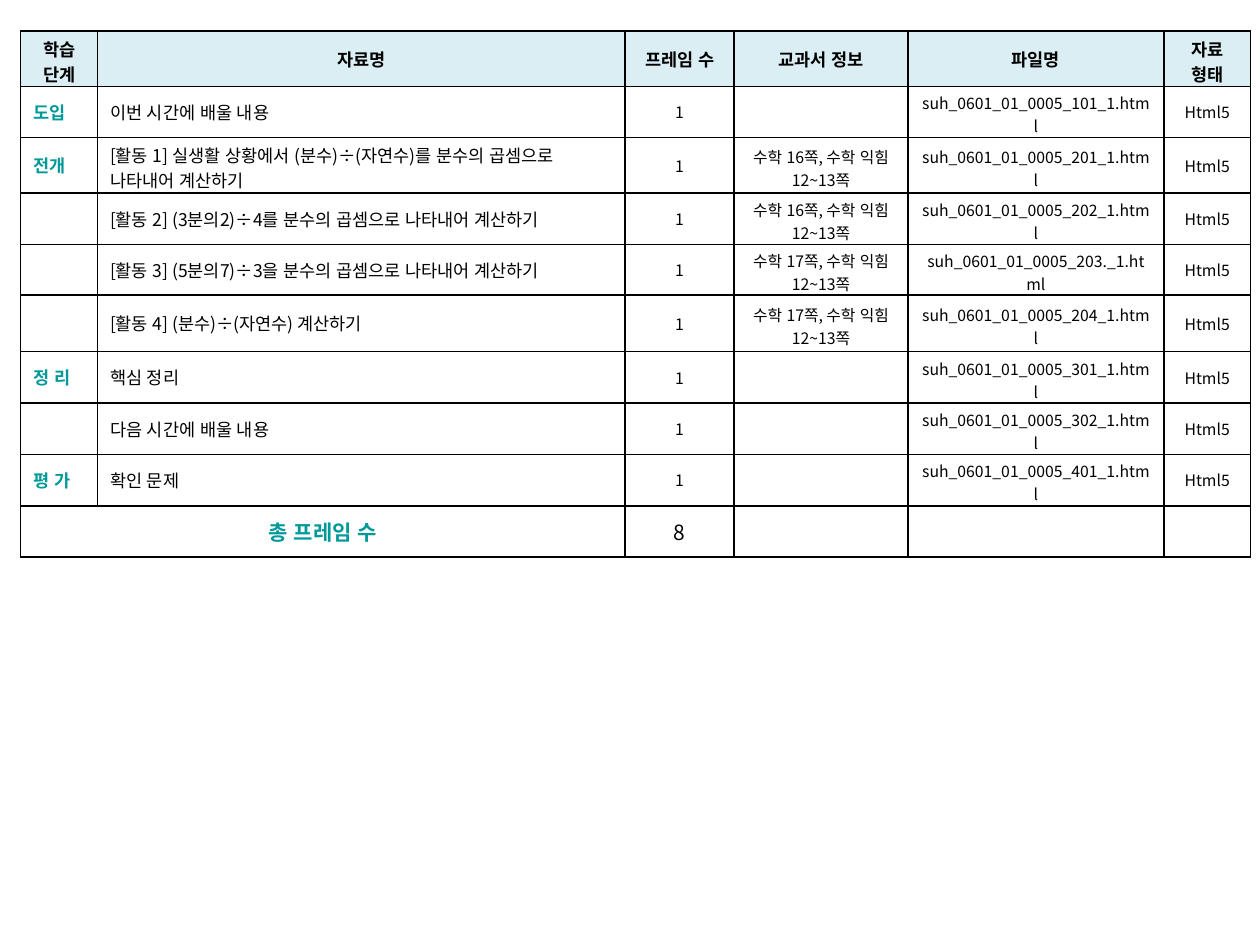
from lxml import etree
from pptx import Presentation
from pptx.dml.color import RGBColor
from pptx.enum.lang import MSO_LANGUAGE_ID
from pptx.enum.text import MSO_ANCHOR, PP_ALIGN
from pptx.oxml.ns import qn
from pptx.util import Pt

LEFT, MID, JUST = PP_ALIGN.LEFT, PP_ALIGN.CENTER, PP_ALIGN.JUSTIFY
MIDDLE = MSO_ANCHOR.MIDDLE
KOREAN = MSO_LANGUAGE_ID.KOREAN
FONT = "Noto Sans CJK KR"
COLORS = {"ink": "000000", "teal": "009999", "head": "DBEEF4"}

# Text formats: alignment, color and font values
HEAD = (MID, "ink", {"size": Pt(10), "bold": True})
STEP = (JUST, "teal", {"size": Pt(10), "bold": True})
NAME = (LEFT, "ink", {"size": Pt(10), "bold": False})
INFO = (MID, "ink", {"size": Pt(9), "bold": False})
TOTAL = (MID, "teal", {"size": Pt(12), "bold": True})
COUNT = (MID, "ink", {"size": Pt(12), "bold": False})

WIDTHS = [43.9, 301.5, 62.3, 99.4, 146.2, 49.6]
HEIGHTS = [31.1, 29.4, 31.1, 29.3, 29.1, 32.3, 29.4, 29.3, 29.4, 29.4]
# Margins that let two lines fit a low row
TIGHT = {"margin_top": Pt(2.8), "margin_bottom": Pt(0)}

TITLES = ["학습 단계", "자료명", "프레임 수", "교과서 정보", "파일명", "자료\n형태"]
# Step, material, textbook pages, file number
ITEMS = [
    ("도입", "이번 시간에 배울 내용", "", "101_1"),
    ("전개", "[활동 1] 실생활 상황에서 (분수)÷(자연수)를 분수의 곱셈으로 나타내어 계산하기",
     "16", "201_1"),
    ("", "[활동 2] (3분의2)÷4를 분수의 곱셈으로 나타내어 계산하기", "16", "202_1"),
    ("", "[활동 3] (5분의7)÷3을 분수의 곱셈으로 나타내어 계산하기", "17", "203._1"),
    ("", "[활동 4] (분수)÷(자연수) 계산하기", "17", "204_1"),
    ("정 리", "핵심 정리", "", "301_1"),
    ("", "다음 시간에 배울 내용", "", "302_1"),
    ("평 가", "확인 문제", "", "401_1"),
]


def add_line(cell):
    """Draw a thin line on all four sides of a cell."""
    props = cell._tc.get_or_add_tcPr()
    for spot, side in enumerate(("a:lnL", "a:lnR", "a:lnT", "a:lnB")):
        line = etree.Element(qn(side), w=str(Pt(1)))
        fill = etree.SubElement(line, qn("a:solidFill"))
        etree.SubElement(fill, qn("a:srgbClr"), val=COLORS["ink"])
        props.insert(spot, line)


def write(cell, text, style):
    align, color, font = style
    cell.text = text
    for para in cell.text_frame.paragraphs:
        para.alignment = align
        for run in para.runs:
            run.font.name = FONT
            run.font.language_id = KOREAN
            run.font.color.rgb = RGBColor.from_string(COLORS[color])
            for key, value in font.items():
                setattr(run.font, key, value)
            props = run.font._element
            etree.SubElement(props, qn("a:ea"), typeface=FONT)
        # An empty cell needs a small size to keep its row low
        if not para.runs:
            etree.SubElement(para._p, qn("a:endParaRPr"), sz="900")


def fill_row(table, row, texts, styles, tight=(), fill=None):
    """Fill one row; tight lists the columns that hold two lines."""
    for col, (text, style) in enumerate(zip(texts, styles)):
        cell = table.cell(row, col)
        cell.vertical_anchor = MIDDLE
        if col in tight:
            for key, value in TIGHT.items():
                setattr(cell, key, value)
        if fill:
            cell.fill.solid()
            cell.fill.fore_color.rgb = RGBColor.from_string(COLORS[fill])
        else:
            cell.fill.background()
        write(cell, text, style)
        add_line(cell)


def add_grid(slide):
    shape = slide.shapes.add_table(len(HEIGHTS), len(WIDTHS), Pt(11.8), Pt(17.7),
                                   Pt(sum(WIDTHS)), Pt(sum(HEIGHTS)))
    table = shape.table
    table.first_row = table.horz_banding = False
    for col, width in zip(table.columns, WIDTHS):
        col.width = Pt(width)
    for row, height in zip(table.rows, HEIGHTS):
        row.height = Pt(height)
    return table


def main():
    prs = Presentation()
    prs.slide_width, prs.slide_height = Pt(720), Pt(540)
    slide = prs.slides.add_slide(prs.slide_layouts[6])
    table = add_grid(slide)

    # Header
    fill_row(table, 0, TITLES, [HEAD] * len(TITLES), (0, 5), "head")

    # Materials by lesson step
    styles = [STEP, NAME] + [INFO] * 4
    for row, (step, name, page, code) in enumerate(ITEMS, 1):
        book = f"수학 {page}쪽, 수학 익힘 12~13쪽" if page else ""
        file = f"suh_0601_01_0005_{code}.html"
        tight = (1, 3, 4) if len(name) > 40 else (3, 4)
        fill_row(table, row, [step, name, "1", book, file, "Html5"], styles, tight)

    # Total
    last = len(HEIGHTS) - 1
    texts = ["총 프레임 수", "", str(len(ITEMS)), "", "", ""]
    fill_row(table, last, texts, [TOTAL] + [COUNT] * 5)
    table.cell(last, 0).merge(table.cell(last, 1))

    prs.save("out.pptx")


if __name__ == "__main__":
    main()
